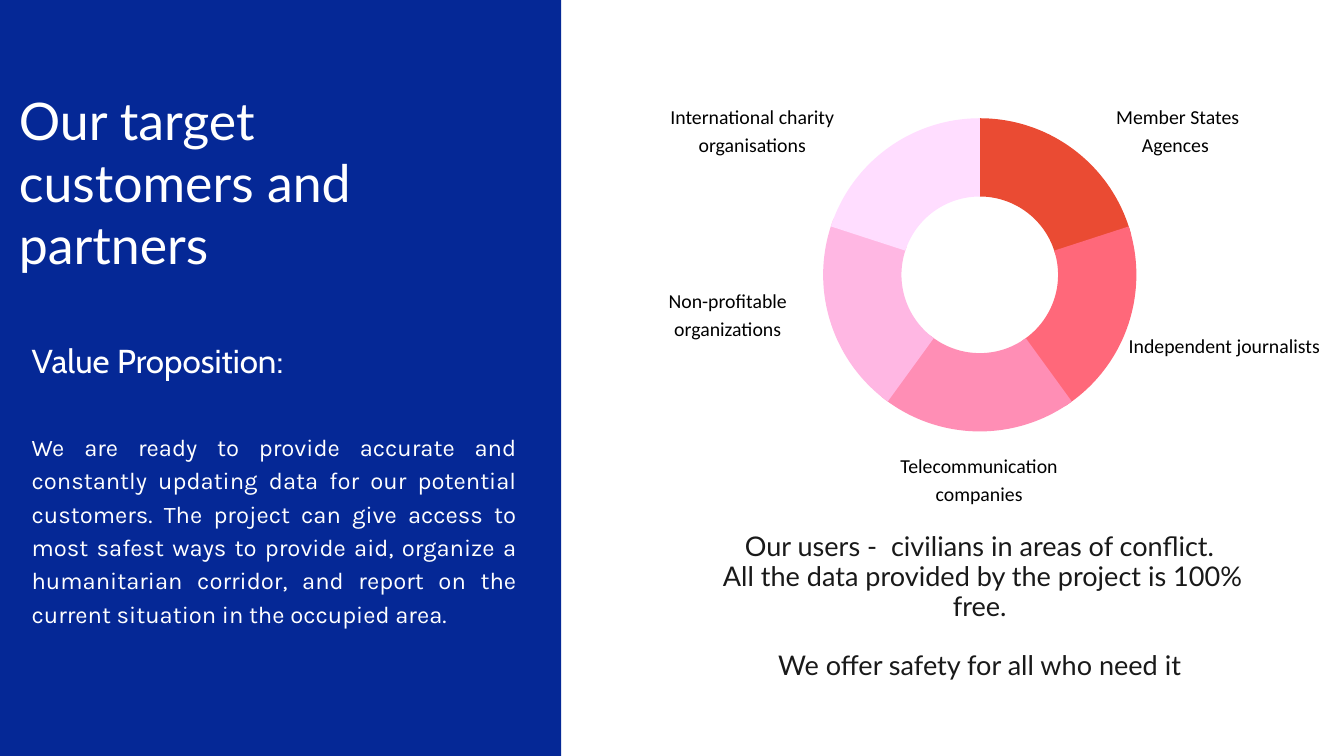
"""Build the target customers and partners slide."""
import math
from dataclasses import dataclass

from lxml import etree
from pptx import Presentation
from pptx.dml.color import RGBColor
from pptx.enum.shapes import MSO_SHAPE
from pptx.enum.text import MSO_AUTO_SIZE, PP_ALIGN
from pptx.oxml.ns import qn
from pptx.util import Inches, Pt

LEFT, CENTER, JUSTIFY = PP_ALIGN.LEFT, PP_ALIGN.CENTER, PP_ALIGN.JUSTIFY
RECTANGLE = MSO_SHAPE.RECTANGLE
GROW = MSO_AUTO_SIZE.SHAPE_TO_FIT_TEXT

BLUE, WHITE, BLACK, CHARCOAL = "052896", "FFFFFF", "000000", "191919"
RING_CENTER = (14.58, 4.09)
OUTER_RADIUS, INNER_RADIUS = 2.33, 1.165
OVERLAP_DEGREES = 3


@dataclass(frozen=True)
class Segment:
    """A ring segment's colour with its label and label box."""

    color: str
    label: str
    box: tuple[float, float, float, float]


SEGMENTS = [
    Segment("EA4B33", "Member States Agences ", (16.28, 1.5, 2.49, 0.81)),
    Segment("FF687A", "Independent journalists", (16.44, 4.9, 3.56, 0.81)),
    Segment("FF8EB5", "Telecommunication companies", (12.86, 6.69, 3.42, 0.81)),
    Segment("FFB7E3", "Non-profitable organizations", (9.63, 4.24, 2.4, 1.21)),
    Segment("FFDDFF", "International charity organisations", (9.86, 1.5, 2.67, 1.21)),
]


def paint(shape, color: str) -> None:
    """Give a shape a flat fill without line or shadow."""
    shape.shadow.inherit = False
    shape.fill.solid()
    shape.fill.fore_color.rgb = RGBColor.from_string(color)
    shape.line.fill.background()


def add_text(slide, text: str, box: tuple[float, float, float, float], *,
             font: str, size: float, color: str, line: float,
             align: PP_ALIGN = LEFT, gap_before_last: float = 0) -> None:
    """Add a text box with one paragraph for each line of text."""
    frame = slide.shapes.add_textbox(*map(Inches, box)).text_frame
    frame.word_wrap = True
    frame.auto_size = GROW
    frame.margin_left = frame.margin_right = 0
    frame.margin_top = frame.margin_bottom = 0
    frame.text = text
    for paragraph in frame.paragraphs:
        paragraph.alignment = align
        paragraph.line_spacing = Pt(line)
        paragraph.font.name = font
        paragraph.font.size = Pt(size)
        paragraph.font.color.rgb = RGBColor.from_string(color)
    if gap_before_last:
        frame.paragraphs[-1].space_before = Pt(gap_before_last)


def arc_points(radius: float, start: float, end: float) -> list[tuple[int, int]]:
    """Return the four Bezier points of an arc, clockwise from the ring's top."""
    reach = 4 / 3 * math.tan(math.radians(end - start) / 4)
    points = []
    for degrees, along in ((start, 0), (start, reach), (end, -reach), (end, 0)):
        sine, cosine = math.sin(math.radians(degrees)), math.cos(math.radians(degrees))
        points.append((Inches(RING_CENTER[0] + radius * (sine + along * cosine)),
                       Inches(RING_CENTER[1] - radius * (cosine - along * sine))))
    return points


def curve_lines(lines: list) -> None:
    """Merge three consecutive line elements into one Bezier curve."""
    curve = etree.Element(qn("a:cubicBezTo"))
    lines[0].addprevious(curve)
    for line in lines:
        curve.append(line[0])
        line.getparent().remove(line)


def add_ring_segment(slide, start: float, end: float, color: str) -> None:
    """Draw one segment of the ring between two angles."""
    points = arc_points(OUTER_RADIUS, start, end) + arc_points(INNER_RADIUS, end, start)
    builder = slide.shapes.build_freeform(*points[0])
    builder.add_line_segments(points[1:], close=True)
    shape = builder.convert_to_shape()
    lines = list(shape.element.iter(qn("a:lnTo")))
    curve_lines(lines[:3])
    curve_lines(lines[4:7])
    paint(shape, color)


def add_ring(slide) -> None:
    """Draw equal segments clockwise, each tucked under the next."""
    sweep = 360 / len(SEGMENTS)
    for index, segment in enumerate(SEGMENTS):
        start = index * sweep
        end = min(start + sweep + OVERLAP_DEGREES, 360)
        add_ring_segment(slide, start, end, segment.color)


def add_labels(slide) -> None:
    """Label every segment of the ring."""
    for segment in SEGMENTS:
        add_text(slide, segment.label, segment.box, font="Calibri", size=21.2,
                 color=BLACK, line=29.7, align=CENTER)


def main() -> None:
    """Build and save the presentation."""
    presentation = Presentation()
    presentation.slide_width = Inches(20)
    presentation.slide_height = Inches(11.25)
    slide = presentation.slides.add_slide(presentation.slide_layouts[6])

    panel = slide.shapes.add_shape(RECTANGLE, 0, 0, Inches(8.35), Inches(11.25))
    paint(panel, BLUE)
    add_ring(slide)

    add_text(slide, "Our target customers and partners", (0.28, 1.32, 5.92, 2.76),
             font="Lato", size=55.5, color=WHITE, line=66.6)
    add_text(slide,
             "Our users -  civilians in areas of conflict.\n"
             " All the data provided by the project is 100% free.\n"
             "We offer safety for all who need it",
             (10.39, 7.92, 8.38, 2.63), font="Lato", size=29, color=CHARCOAL,
             line=31.9, align=CENTER, gap_before_last=31.9)
    add_text(slide,
             "We are ready to provide accurate and constantly updating data for our "
             "potential customers. The project can give access to most safest ways to "
             "provide aid, organize a humanitarian corridor, and report on the current "
             "situation in the occupied area.",
             (0.47, 6.37, 7.22, 2.91),
             font="Karla", size=25.5, color=WHITE, line=35.7, align=JUSTIFY)
    add_labels(slide)
    add_text(slide, "Value Proposition:", (0.47, 4.96, 7.22, 0.66),
             font="Cabin", size=35.5, color=WHITE, line=49.7)
    presentation.save("out.pptx")


if __name__ == "__main__":
    main()
